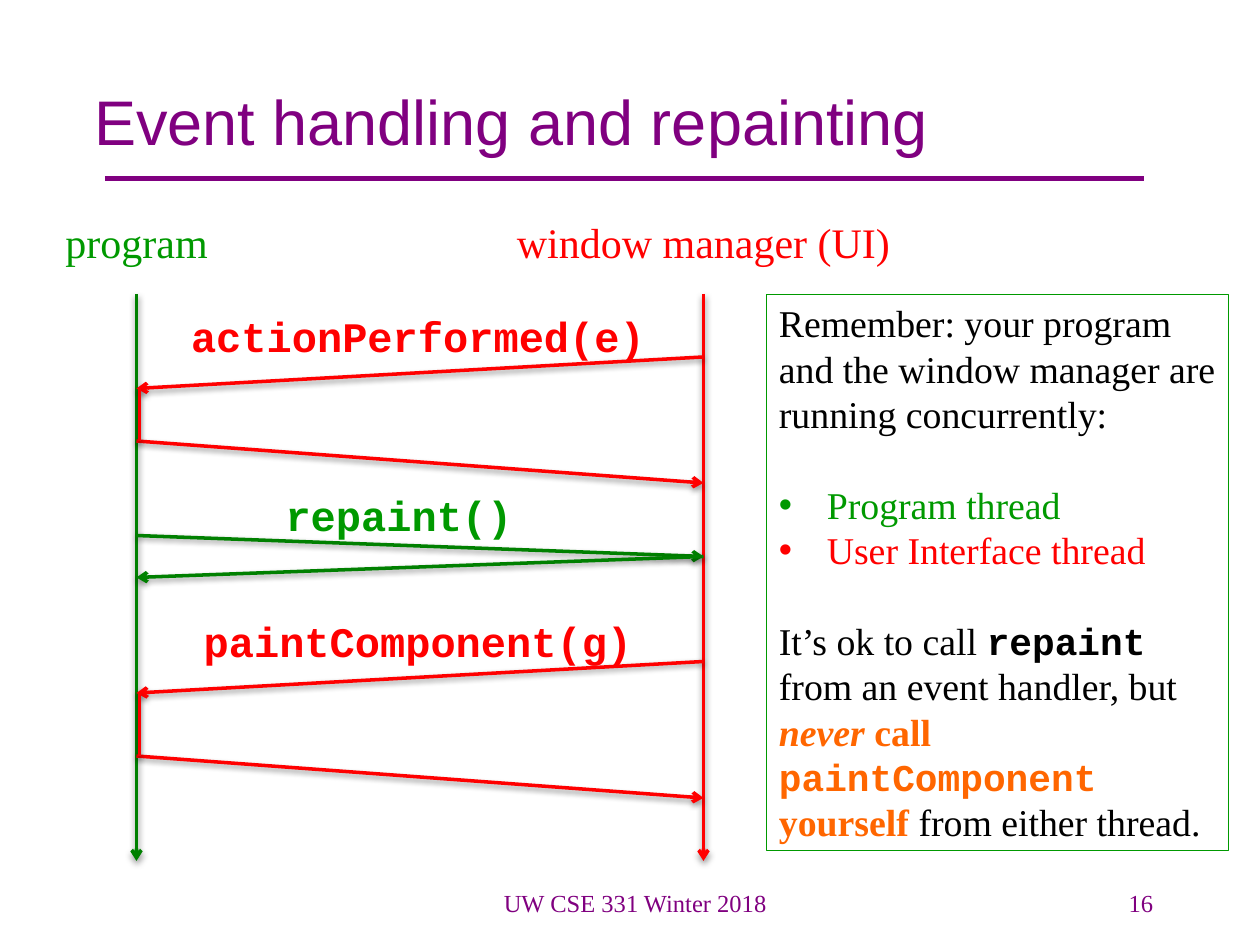
"""Build a slide showing the messages between a program and its window manager."""
from typing import NamedTuple

from lxml import etree
from pptx import Presentation
from pptx.dml.color import RGBColor
from pptx.enum.shapes import MSO_CONNECTOR, MSO_SHAPE
from pptx.enum.text import MSO_ANCHOR, PP_ALIGN
from pptx.oxml.ns import qn
from pptx.util import Inches, Pt

STRAIGHT, RECTANGLE = MSO_CONNECTOR.STRAIGHT, MSO_SHAPE.RECTANGLE
LEFT, CENTER, RIGHT = PP_ALIGN.LEFT, PP_ALIGN.CENTER, PP_ALIGN.RIGHT
TOP, MIDDLE = MSO_ANCHOR.TOP, MSO_ANCHOR.MIDDLE
SANS, MONO, SERIF = "Arial", "Courier New", "Times New Roman"
COLORS = {
    "purple": "800080", "green": "008000", "leaf": "009900",
    "red": "FF0000", "orange": "FF6600", "black": "000000",
}
WIDTH, HEIGHT = Inches(10), Inches(7.5)
COLUMNS, ROWS = 120, 90
PROGRAM, MANAGER, HANDLER = 13, 67, 13.3
NOTE_SIZE, NOTE_PITCH = 21.6, 25.9


class Arrow(NamedTuple):
    start: tuple
    end: tuple
    color: str
    width: float = 2
    head: bool = True
    shadow: bool = True


class Label(NamedTuple):
    text: str
    box: tuple
    color: str
    size: float = 24
    font: str = SERIF
    bold: bool = False
    align: PP_ALIGN = CENTER
    anchor: MSO_ANCHOR = TOP
    inset: float = 0.1
    wrap: bool = False


class Span(NamedTuple):
    text: str
    color: str = "black"
    font: str = SERIF
    bold: bool = False
    italic: bool = False


class NoteItem(NamedTuple):
    spans: list
    gap: bool = False
    bullet: str = ""


ARROWS = [
    Arrow((10, 17), (109, 17), "purple", 3, False, False),
    Arrow((PROGRAM, 28), (PROGRAM, 82), "green"),
    Arrow((MANAGER, 28), (MANAGER, 82), "red"),
    Arrow((PROGRAM, 51), (MANAGER, 53), "green"),
    Arrow((MANAGER, 53), (PROGRAM, 55), "green"),
]
for call, arrive, leave, back in ((34, 37, 42, 46), (63, 66, 72, 76)):
    ARROWS += [
        Arrow((PROGRAM, leave), (MANAGER, back), "red"),
        Arrow((MANAGER, call), (PROGRAM, arrive), "red"),
        Arrow((HANDLER, arrive), (HANDLER, leave), "red", head=False),
    ]

LABELS = [
    Label("Event handling and repainting", (9, 4, 102, 15), "purple", 36, SANS,
          align=LEFT, anchor=MIDDLE, inset=0, wrap=True),
    Label("program", (5, 20, 16, 6), "leaf"),
    Label("window manager (UI)", (48, 20, 38, 6), "red"),
    Label("actionPerformed(e)", (17, 29, 45.6, 6), "red", font=MONO, bold=True),
    Label("repaint()", (26, 46, 24, 6), "leaf", font=MONO, bold=True),
    Label("paintComponent(g)", (18.2, 58, 43.2, 6), "red", font=MONO, bold=True),
    Label("UW CSE 331 Winter 2018", (38, 84, 45, 6), "purple", 14, wrap=True),
    Label("16", (86, 84, 25, 6), "purple", 14, align=RIGHT, wrap=True),
]

NOTE_BOX = (73, 28, 44, 53)
NOTE = [
    NoteItem([Span("Remember: your program and the window manager are running concurrently:")]),
    NoteItem([Span("Program thread", "leaf")], True, "leaf"),
    NoteItem([Span("User Interface thread", "red")], False, "red"),
    NoteItem([
        Span("It’s ok to call "),
        Span("repaint", font=MONO, bold=True),
        Span(" from an event handler, but "),
        Span("never", "orange", bold=True, italic=True),
        Span(" call ", "orange", bold=True),
        Span("paintComponent", "orange", MONO, True),
        Span(" yourself ", "orange", bold=True),
        Span("from either thread."),
    ], True),
]


def x(column: float) -> int:
    return round(WIDTH * column / COLUMNS)


def y(row: float) -> int:
    return round(HEIGHT * row / ROWS)


def place(box: tuple) -> tuple:
    left, top, width, height = box
    return x(left), y(top), x(width), y(height)


def rgb(name: str) -> RGBColor:
    return RGBColor.from_string(COLORS[name])


def apply(target, values: dict) -> None:
    for attribute, value in values.items():
        setattr(target, attribute, value)


def add_span(paragraph, span: Span, size: float) -> None:
    run = paragraph.add_run()
    run.text = span.text
    apply(run.font, {"name": span.font, "size": Pt(size),
                     "bold": span.bold, "italic": span.italic})
    run.font.color.rgb = rgb(span.color)


def draw_arrow(slide, arrow: Arrow) -> None:
    (x1, y1), (x2, y2) = arrow.start, arrow.end
    line = slide.shapes.add_connector(STRAIGHT, x(x1), y(y1), x(x2), y(y2))
    line.line.color.rgb = rgb(arrow.color)
    line.line.width = Pt(arrow.width)
    properties = line._element.spPr
    if arrow.head:
        etree.SubElement(properties.find(qn("a:ln")), qn("a:tailEnd"), type="arrow")
    effects = etree.SubElement(properties, qn("a:effectLst"))
    if arrow.shadow:
        shadow = etree.SubElement(effects, qn("a:outerShdw"), blurRad="40000",
                                  dist="20000", dir="5400000", rotWithShape="0")
        tint = etree.SubElement(shadow, qn("a:srgbClr"), val=COLORS["black"])
        etree.SubElement(tint, qn("a:alpha"), val="38000")


def draw_label(slide, label: Label) -> None:
    frame = slide.shapes.add_textbox(*place(label.box)).text_frame
    side, edge = Inches(label.inset), Inches(label.inset / 2)
    apply(frame, {"word_wrap": label.wrap, "vertical_anchor": label.anchor,
                  "margin_left": side, "margin_right": side,
                  "margin_top": edge, "margin_bottom": edge})
    paragraph = frame.paragraphs[0]
    paragraph.alignment = label.align
    add_span(paragraph, Span(label.text, label.color, label.font, label.bold), label.size)


def add_bullet(paragraph, color: str) -> None:
    properties = paragraph._p.get_or_add_pPr()
    indent = Inches(0.38)
    properties.set("marL", str(indent))
    properties.set("indent", str(-indent))
    tint = etree.SubElement(properties, qn("a:buClr"))
    etree.SubElement(tint, qn("a:srgbClr"), val=COLORS[color])
    etree.SubElement(properties, qn("a:buFont"), typeface=SANS)
    etree.SubElement(properties, qn("a:buChar"), char="•")


def draw_note(slide, box: tuple, items: list) -> None:
    note = slide.shapes.add_shape(RECTANGLE, *place(box))
    note.shadow.inherit = False
    note.fill.background()
    note.line.color.rgb = rgb("leaf")
    note.line.width = Pt(0.5)
    frame = note.text_frame
    apply(frame, {"word_wrap": True, "vertical_anchor": TOP})
    for index, item in enumerate(items):
        paragraph = frame.add_paragraph() if index else frame.paragraphs[0]
        apply(paragraph, {"alignment": LEFT, "line_spacing": Pt(NOTE_PITCH),
                          "space_before": Pt(NOTE_PITCH if item.gap else 0)})
        if item.bullet:
            add_bullet(paragraph, item.bullet)
        for span in item.spans:
            add_span(paragraph, span, NOTE_SIZE)


def main() -> None:
    deck = Presentation()
    apply(deck, {"slide_width": WIDTH, "slide_height": HEIGHT})
    slide = deck.slides.add_slide(deck.slide_layouts[6])
    for arrow in ARROWS:
        draw_arrow(slide, arrow)
    for label in LABELS:
        draw_label(slide, label)
    draw_note(slide, NOTE_BOX, NOTE)
    deck.save("out.pptx")


if __name__ == "__main__":
    main()
